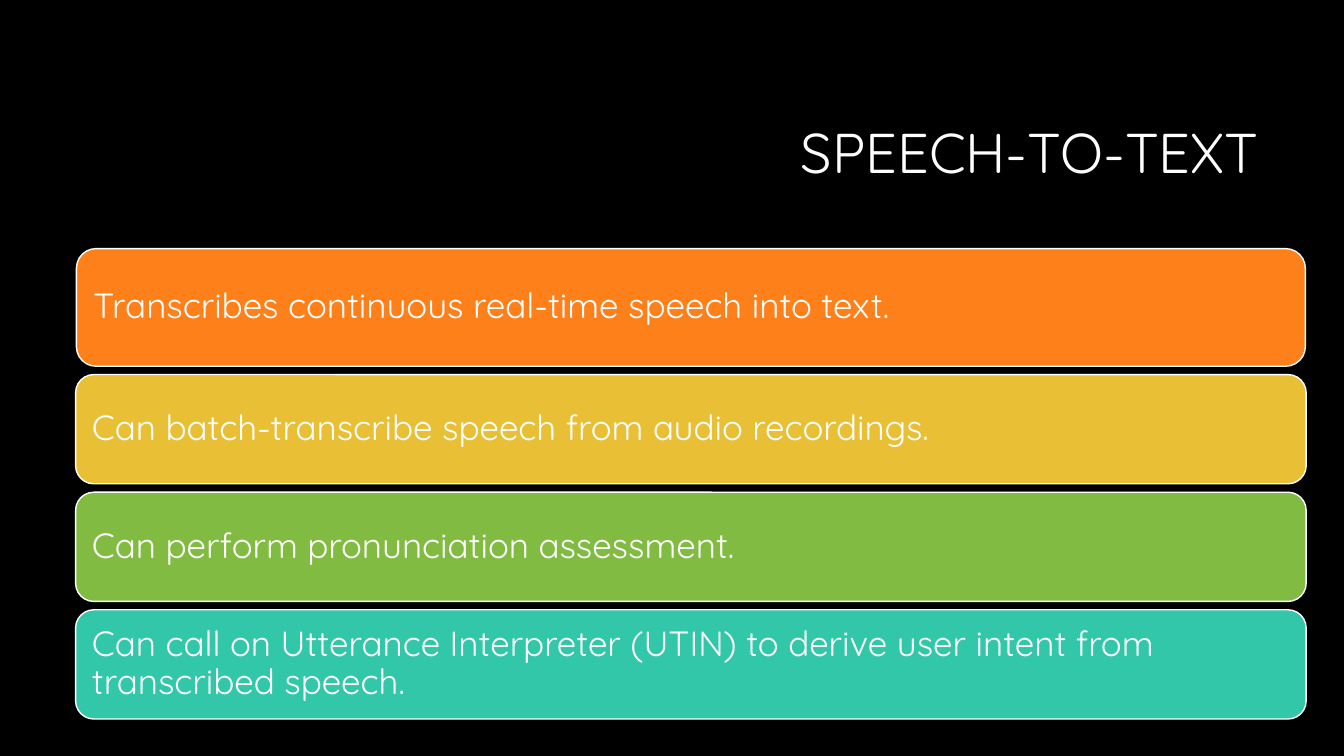
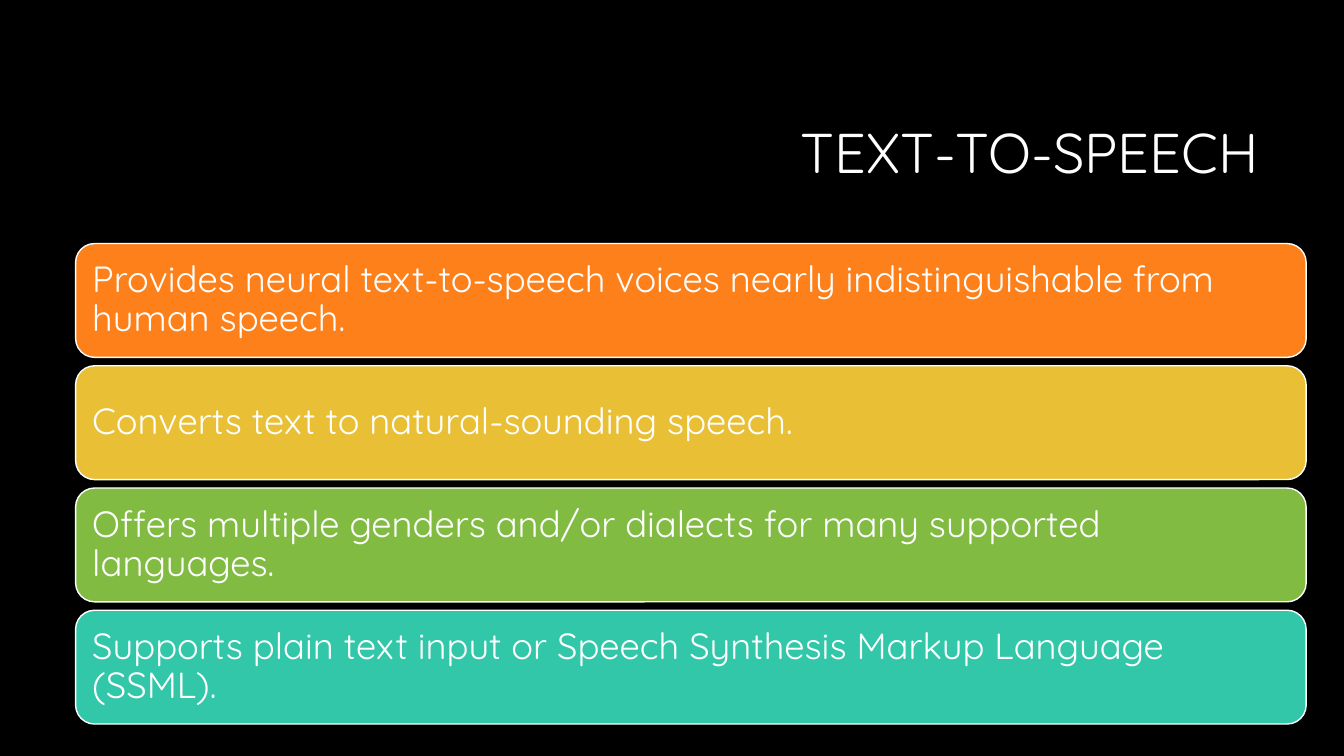
from dataclasses import dataclass

from pptx import Presentation
from pptx import util as u
from pptx.dml.color import RGBColor
from pptx.enum import shapes, text

# The slide is a grid of 160 columns by 90 rows of square cells.
COLUMNS, ROWS = 160, 90
CELL = u.Inches(7.5) // ROWS

COLORS = {
    "background": "000000",
    "text": "FFFFFF",
    "outline": "FFFFFF",
    "orange": "FE801A",
    "yellow": "E9BF35",
    "green": "81BB42",
    "teal": "32C7A9",
}
BAR_COLORS = ("orange", "yellow", "green", "teal")
FONT = "Quicksand"
TITLE_BOX = (38, 10, 113, 17)
TITLE_SIZE = 40
BAR_LEFT, BAR_WIDTH, BAR_GAP = 9, 146.5, 1
BAR_MARGIN = u.Inches(0.11)


@dataclass(frozen=True)
class Bar:
    wording: str
    rows: float
    inset: float = 0


@dataclass(frozen=True)
class Topic:
    title: str
    first_row: float
    text_size: float
    bars: tuple[Bar, ...]


TOPICS = (
    Topic("SPEECH-TO-TEXT", 29.6, 25, (
        Bar("Transcribes continuous real-time speech into text.", 14, inset=0.1),
        Bar("Can batch-transcribe speech from audio recordings.", 13),
        Bar("Can perform pronunciation assessment.", 13),
        Bar("Can call on Utterance Interpreter (UTIN) to derive user intent "
            "from transcribed speech.", 13),
    )),
    Topic("TEXT-TO-SPEECH", 29, 26, (
        Bar("Provides neural text-to-speech voices nearly indistinguishable "
            "from human speech.", 13.55),
        Bar("Converts text to natural-sounding speech.", 13.55),
        Bar("Offers multiple genders and/or dialects for many supported "
            "languages.", 13.55),
        Bar("Supports plain text input or Speech Synthesis Markup Language "
            "(SSML).", 13.55),
    )),
)


def color(name: str) -> RGBColor:
    return RGBColor.from_string(COLORS[name])


def cells(*counts: float) -> list[int]:
    """Turn grid counts into lengths."""
    return [round(count * CELL) for count in counts]


def write(shape, wording: str, size: float, alignment) -> None:
    frame = shape.text_frame
    frame.word_wrap = True
    frame.vertical_anchor = text.MSO_ANCHOR.MIDDLE
    paragraph = frame.paragraphs[0]
    paragraph.text = wording
    paragraph.alignment = alignment
    paragraph.line_spacing = 0.9
    paragraph.font.name = FONT
    paragraph.font.size = u.Pt(size)
    paragraph.font.color.rgb = color("text")


def draw_bar(slide, bar: Bar, row: float, fill: str, text_size: float) -> None:
    box = cells(BAR_LEFT + bar.inset, row, BAR_WIDTH - 2 * bar.inset, bar.rows)
    panel = slide.shapes.add_shape(shapes.MSO_SHAPE.ROUNDED_RECTANGLE, *box)
    panel.shadow.inherit = False
    panel.fill.solid()
    panel.fill.fore_color.rgb = color(fill)
    panel.line.color.rgb = color("outline")
    panel.line.width = u.Pt(1)
    frame = panel.text_frame
    frame.margin_left = frame.margin_right = BAR_MARGIN
    frame.margin_top = frame.margin_bottom = BAR_MARGIN
    write(panel, bar.wording, text_size, text.PP_ALIGN.LEFT)


def draw_topic(deck, topic: Topic) -> None:
    slide = deck.slides.add_slide(deck.slide_layouts[6])
    background = slide.background.fill
    background.solid()
    background.fore_color.rgb = color("background")

    title = slide.shapes.add_textbox(*cells(*TITLE_BOX))
    write(title, topic.title, TITLE_SIZE, text.PP_ALIGN.RIGHT)

    row = topic.first_row
    for bar, fill in zip(topic.bars, BAR_COLORS):
        draw_bar(slide, bar, row, fill, topic.text_size)
        row += bar.rows + BAR_GAP


def main() -> None:
    deck = Presentation()
    deck.slide_width, deck.slide_height = cells(COLUMNS, ROWS)
    for topic in TOPICS:
        draw_topic(deck, topic)
    deck.save("out.pptx")


if __name__ == "__main__":
    main()
